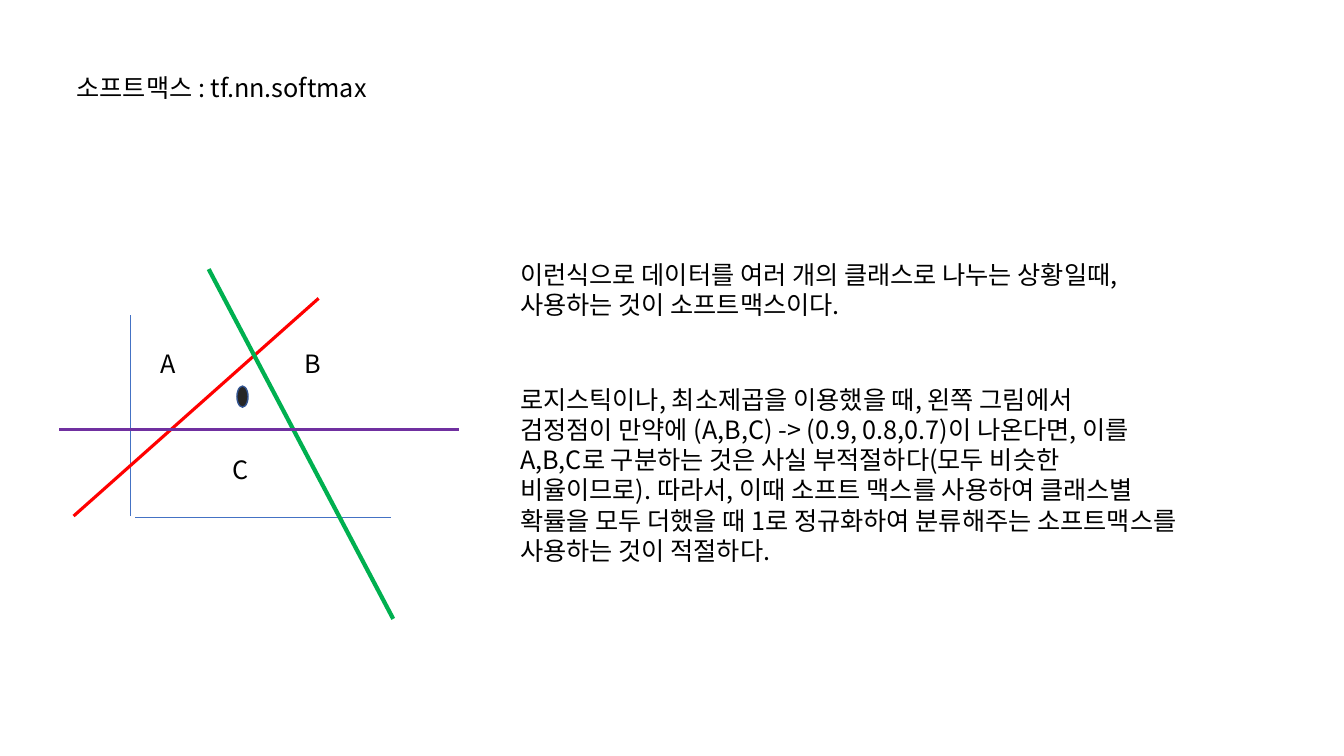
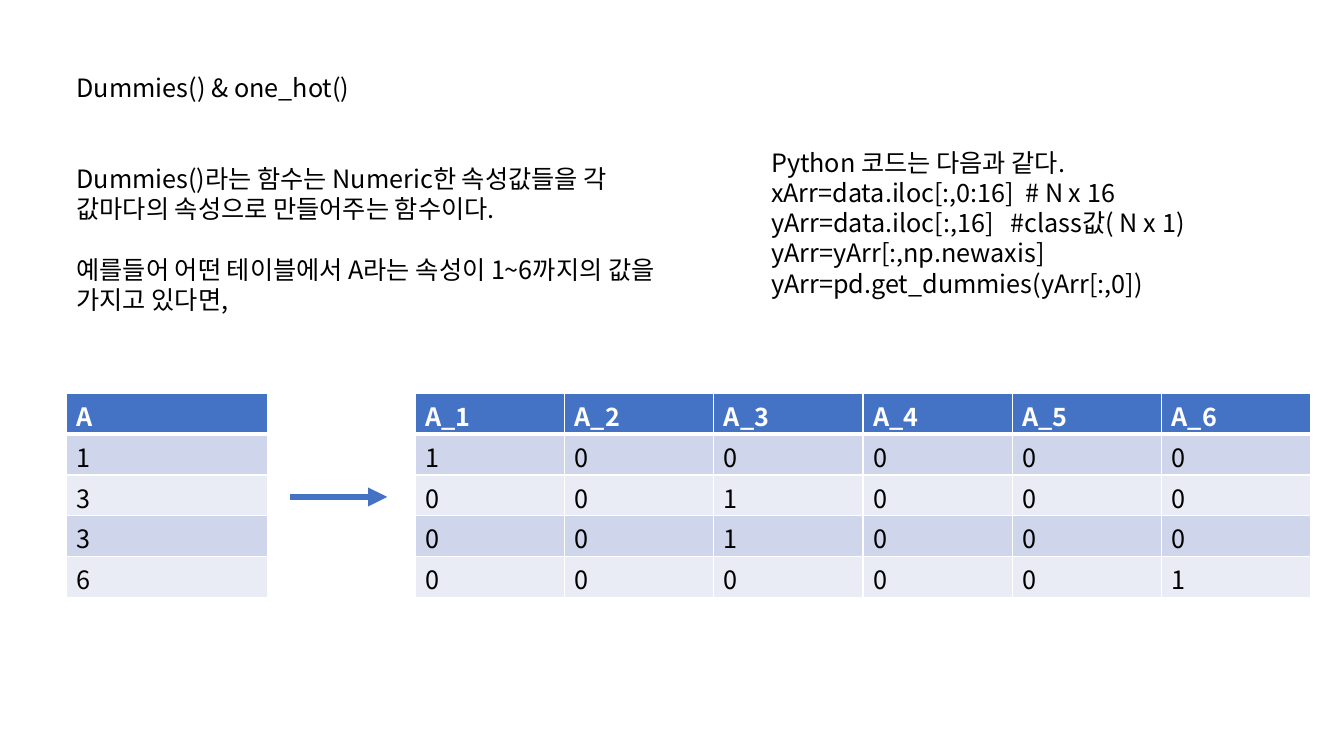
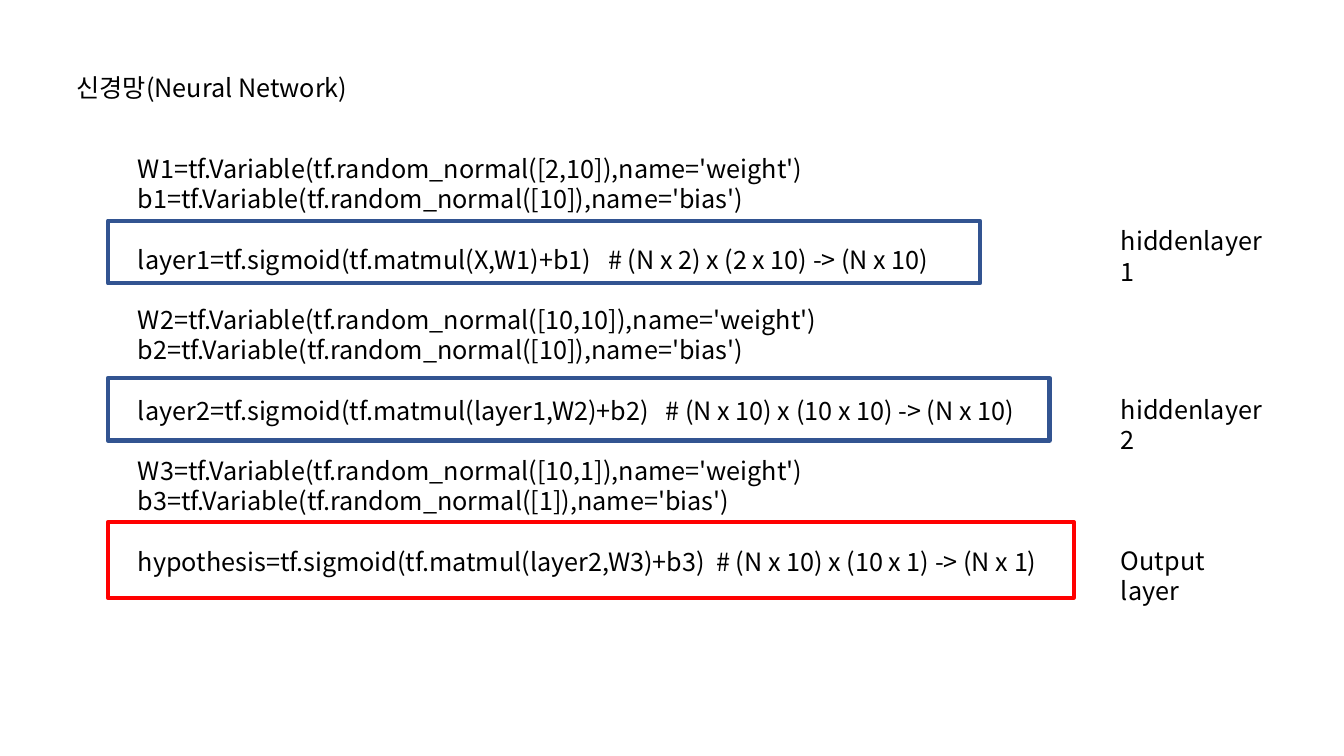
import lxml.etree
import pptx
import pptx.dml.color
import pptx.enum.shapes
import pptx.enum.text
import pptx.oxml.ns
import pptx.util

Inches = pptx.util.Inches
Pt = pptx.util.Pt
color = pptx.dml.color.RGBColor.from_string
qn = pptx.oxml.ns.qn

# Shared style
FONT = "Noto Sans CJK KR"
SIZE = Pt(18)
LINE_HEIGHT = Pt(21.6)
BLACK, WHITE, RED = "000000", "FFFFFF", "FF0000"
BLUE, DARK_BLUE = "4472C4", "325491"
BANDS = ["CFD5EA", "E9EBF5"]


def write(frame, lines, ink=BLACK, bold=False):
    """Fill a text frame; (text,) starts a new group, \\n breaks a line."""
    frame.word_wrap = True
    for index, line in enumerate(lines):
        para = frame.paragraphs[0] if index == 0 else frame.add_paragraph()
        para.alignment = pptx.enum.text.PP_ALIGN.LEFT
        para.line_spacing = LINE_HEIGHT
        para.space_before = Pt(0)
        if isinstance(line, tuple):
            para.space_before = LINE_HEIGHT
            line = line[0]
        for part_index, part in enumerate(line.split("\n")):
            if part_index:
                para.add_line_break()
            span = para.add_run()
            span.text = part
            span.font.name = FONT
            span.font.size = SIZE
            span.font.bold = bold
            span.font.color.rgb = color(ink)
            east_asian = lxml.etree.SubElement(span.font._element, qn("a:ea"))
            east_asian.set("typeface", FONT)


def draw_line(page, start, end, ink, width):
    line = page.shapes.add_connector(
        pptx.enum.shapes.MSO_CONNECTOR.STRAIGHT,
        Inches(start[0]), Inches(start[1]), Inches(end[0]), Inches(end[1]))
    line.line.color.rgb = color(ink)
    line.line.width = Pt(width)
    lxml.etree.SubElement(line._element.spPr, qn("a:effectLst"))
    return line


deck = pptx.Presentation()
deck.slide_width = Inches(13.33)
deck.slide_height = Inches(7.5)

# Pages with their titles and text boxes (left, top, width, height, lines)
contents = [
    ("소프트맥스 : tf.nn.softmax", 6.35, [
        (1.49, 3.41, 0.47, 0.4, ["A"]),
        (2.92, 3.41, 0.47, 0.4, ["B"]),
        (2.21, 4.46, 0.47, 0.4, ["C"]),
        (5.06, 2.52, 6.93, 0.71, [
            "이런식으로 데이터를 여러 개의 클래스로 나누는 상황일때,\n"
            "사용하는 것이 소프트맥스이다."]),
        (5.06, 3.76, 6.93, 1.92, [
            "로지스틱이나, 최소제곱을 이용했을 때, 왼쪽 그림에서\n"
            "검정점이 만약에 (A,B,C) -> (0.9, 0.8,0.7)이 나온다면, 이를\n"
            "A,B,C로 구분하는 것은 사실 부적절하다(모두 비슷한\n"
            "비율이므로). 따라서, 이때 소프트 맥스를 사용하여 클래스별\n"
            "확률을 모두 더했을 때 1로 정규화하여 분류해주는 소프트맥스를\n"
            "사용하는 것이 적절하다."]),
    ]),
    ("Dummies() & one_hot()", 6.35, [
        (0.66, 1.57, 6.35, 2.22, [
            "Dummies()라는 함수는 Numeric한 속성값들을 각\n"
            "값마다의 속성으로 만들어주는 함수이다.",
            ("예를들어 어떤 테이블에서 A라는 속성이 1~6까지의 값을\n"
             "가지고 있다면,",)]),
        (7.55, 1.41, 5.77, 1.62, [
            "Python 코드는 다음과 같다.",
            "xArr=data.iloc[:,0:16]  # N x 16",
            "yArr=data.iloc[:,16]   #class값( N x 1)",
            "yArr=yArr[:,np.newaxis]",
            "yArr=pd.get_dummies(yArr[:,0])"]),
    ]),
    ("신경망(Neural Network)", 2.96, [
        (1.27, 1.47, 9.75, 4.34, [
            "W1=tf.Variable(tf.random_normal([2,10]),name='weight')",
            "b1=tf.Variable(tf.random_normal([10]),name='bias')",
            ("layer1=tf.sigmoid(tf.matmul(X,W1)+b1)"
             "   # (N x 2) x (2 x 10) -> (N x 10)",),
            ("W2=tf.Variable(tf.random_normal([10,10]),name='weight')",),
            "b2=tf.Variable(tf.random_normal([10]),name='bias')",
            ("layer2=tf.sigmoid(tf.matmul(layer1,W2)+b2)"
             "   # (N x 10) x (10 x 10) -> (N x 10)",),
            ("W3=tf.Variable(tf.random_normal([10,1]),name='weight')",),
            "b3=tf.Variable(tf.random_normal([1]),name='bias')",
            ("hypothesis=tf.sigmoid(tf.matmul(layer2,W3)+b3)"
             "  # (N x 10) x (10 x 1) -> (N x 1)",)]),
        (11.02, 2.19, 1.67, 0.4, ["hiddenlayer1"]),
        (11.02, 3.86, 1.67, 0.4, ["hiddenlayer2"]),
        (11.02, 5.36, 1.64, 0.4, ["Output layer"]),
    ]),
]
pages = []
for title_text, title_width, text_boxes in contents:
    page = deck.slides.add_slide(deck.slide_layouts[5])
    pages.append(page)
    title = page.shapes.title
    title.left, title.top = Inches(0.66), Inches(0.67)
    title.width, title.height = Inches(title_width), Inches(0.4)
    title.text_frame.auto_size = pptx.enum.text.MSO_AUTO_SIZE.NONE
    title.text_frame.vertical_anchor = pptx.enum.text.MSO_ANCHOR.TOP
    write(title.text_frame, [title_text])
    for left, top, width, height, lines in text_boxes:
        box = page.shapes.add_textbox(
            Inches(left), Inches(top), Inches(width), Inches(height))
        write(box.text_frame, lines)
softmax_page, dummies_page, network_page = pages

# Softmax: axes, class borders and the data point
for start, end, ink, width in [
    ((1.29, 5.12), (1.29, 3.13), BLUE, 0.5),
    ((1.34, 5.13), (3.88, 5.13), BLUE, 0.5),
    ((3.16, 2.96), (0.73, 5.12), RED, 2.25),
    ((2.07, 2.67), (3.9, 6.14), "00B050", 3),
    ((0.59, 4.26), (4.55, 4.26), "7030A0", 2.25),
]:
    draw_line(softmax_page, start, end, ink, width)
point = softmax_page.shapes.add_shape(
    pptx.enum.shapes.MSO_SHAPE.OVAL,
    Inches(2.35), Inches(3.83), Inches(0.11), Inches(0.21))
point.shadow.inherit = False
point.fill.solid()
point.fill.fore_color.rgb = color("262626")
point.line.color.rgb = color(DARK_BLUE)
point.line.width = Pt(1)

# Dummies: attribute table, arrow and one-hot table
values = [1, 3, 3, 6]
attribute_rows = [["A"]] + [[str(value)] for value in values]
one_hot_rows = [[f"A_{number}" for number in range(1, 7)]]
for value in values:
    one_hot_rows.append([str(int(value == number)) for number in range(1, 7)])

for left, width, rows in [(4.12, 8.88, one_hot_rows), (0.66, 1.99, attribute_rows)]:
    table = dummies_page.shapes.add_table(
        len(rows), len(rows[0]),
        Inches(left), Inches(3.9), Inches(width), Inches(2.03)).table
    for row_index, row in enumerate(rows):
        header = row_index == 0
        for column_index, text in enumerate(row):
            cell = table.cell(row_index, column_index)
            cell.margin_top, cell.margin_bottom = Inches(0.1), 0
            write(cell.text_frame, [text], WHITE if header else BLACK, header)
            for side in "LRTB":
                thick = (row_index, side) in [(0, "B"), (1, "T")]
                border = lxml.etree.SubElement(
                    cell._tc.get_or_add_tcPr(), qn("a:ln" + side),
                    w=str(Pt(3 if thick else 1)))
                border_fill = lxml.etree.SubElement(border, qn("a:solidFill"))
                lxml.etree.SubElement(border_fill, qn("a:srgbClr"), val=WHITE)
            cell.fill.solid()
            cell.fill.fore_color.rgb = color(
                BLUE if header else BANDS[(row_index - 1) % 2])

arrow = draw_line(dummies_page, (2.88, 4.93), (3.84, 4.93), BLUE, 4.5)
lxml.etree.SubElement(arrow.line._get_or_add_ln(), qn("a:tailEnd"), type="triangle")

# Neural network: frames around the layers
for top, width, height, ink in [
    (2.19, 8.65, 0.62, DARK_BLUE),
    (3.75, 9.34, 0.62, DARK_BLUE),
    (5.18, 9.58, 0.75, RED),
]:
    layer_frame = network_page.shapes.add_shape(
        pptx.enum.shapes.MSO_SHAPE.RECTANGLE,
        Inches(1.07), Inches(top), Inches(width), Inches(height))
    layer_frame.shadow.inherit = False
    layer_frame.fill.background()
    layer_frame.line.color.rgb = color(ink)
    layer_frame.line.width = Pt(3)

deck.save("out.pptx")
